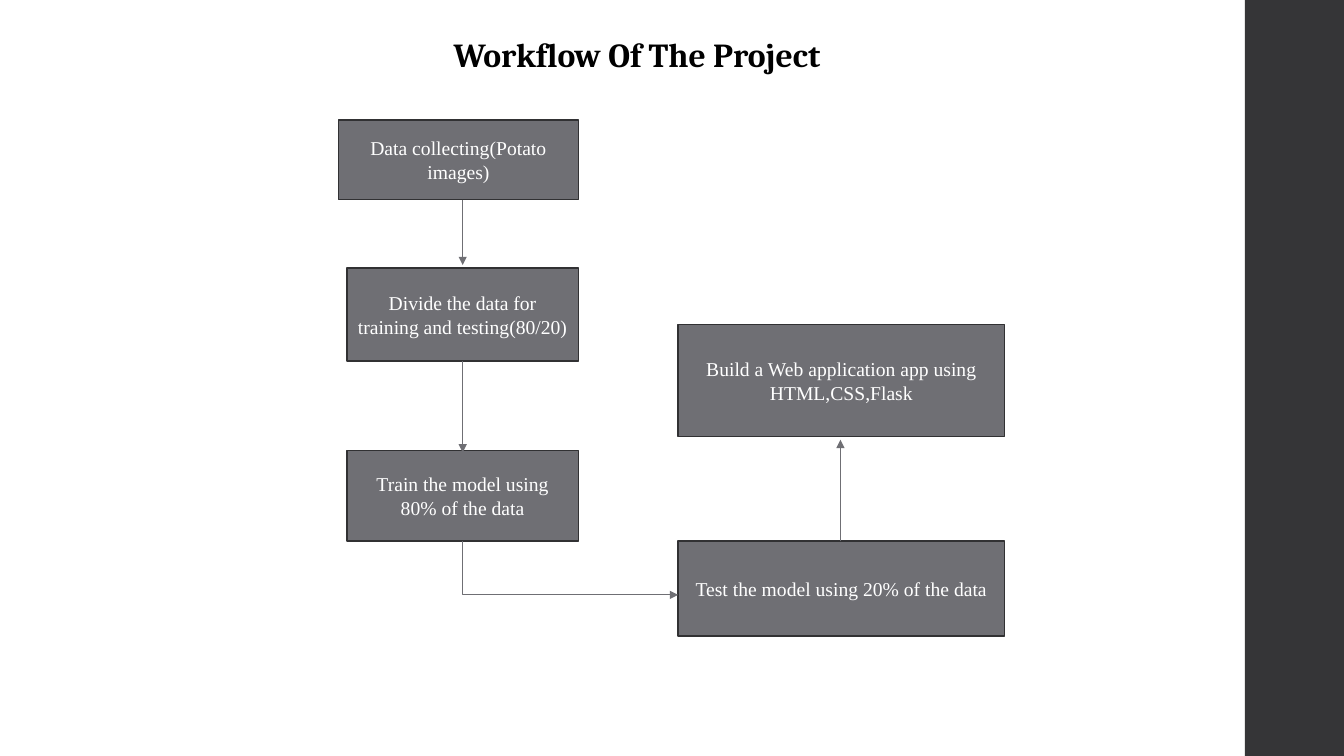
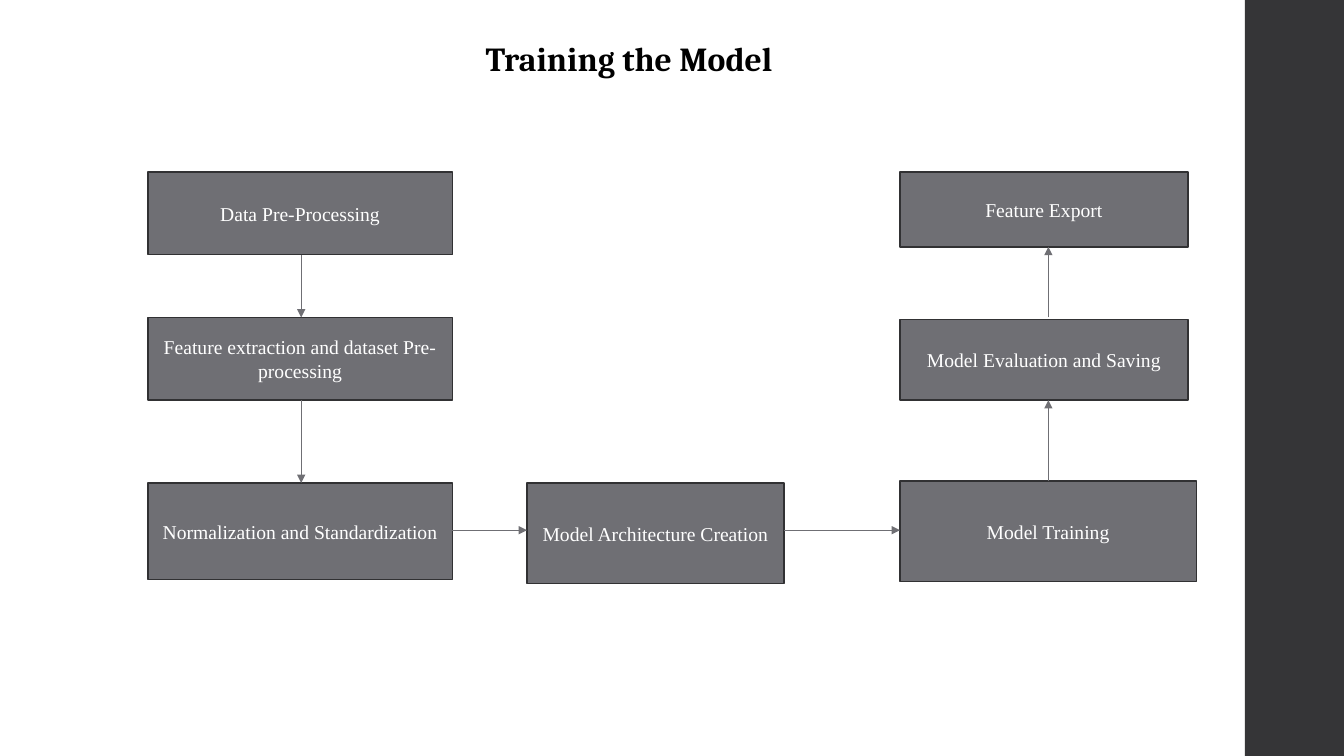
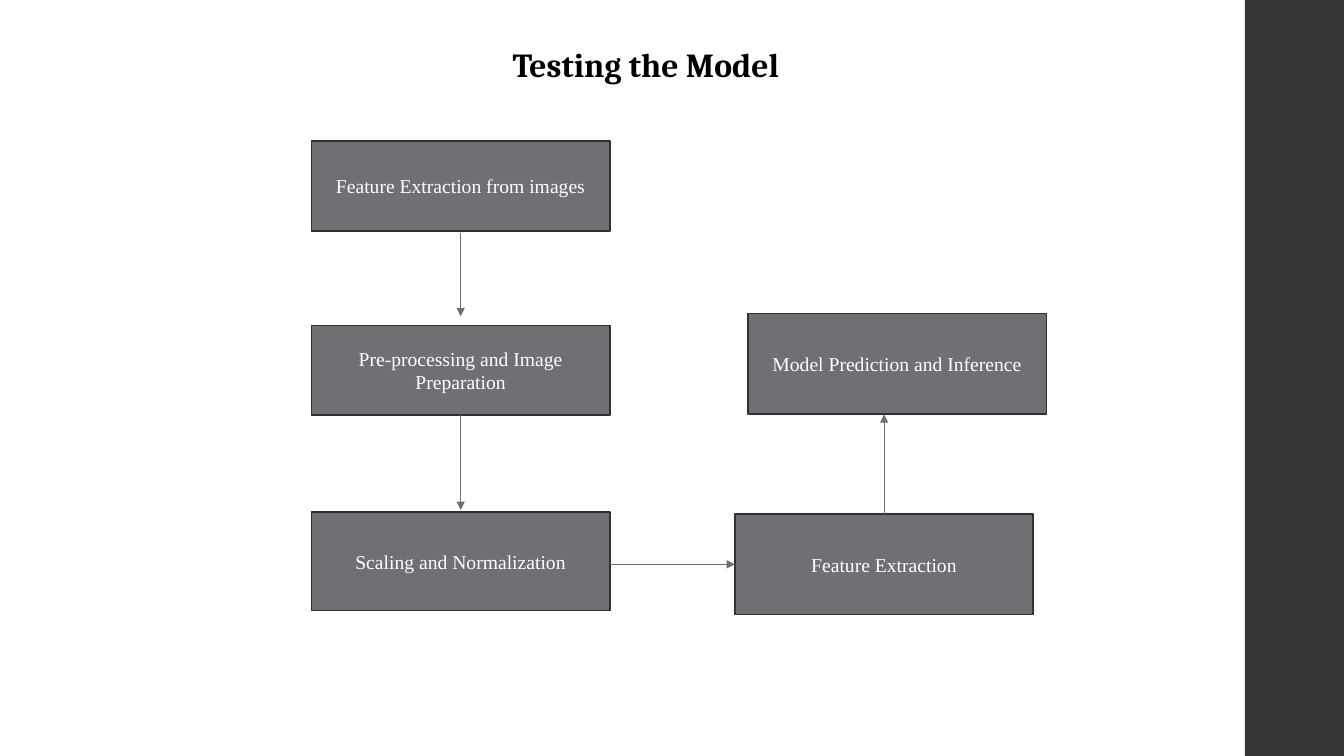
from pptx import Presentation
from pptx.dml.color import RGBColor
from pptx.enum.shapes import MSO_CONNECTOR, MSO_SHAPE
from pptx.enum.text import MSO_ANCHOR, PP_ALIGN
from pptx.oxml.ns import qn
from pptx.util import Cm, Pt
from lxml.etree import SubElement

WIDTH, HEIGHT = 33.87, 19.05
BAND_LEFT = 31.37
BAND, BOX, BORDER, ARROW = "353537", "6F6F74", "313133", "6F6F74"
TITLE_FONT = {"name": "Cambria", "size": Pt(24), "bold": True}
STEP_FONT = {"name": "Times New Roman", "size": Pt(14)}

# Lengths in cm. Title: text, left, top, width.
# Axes: x of "down" arrows, y of "across" arrows, x of "up" arrows.
# Step: text, (left, top, width, height), route to the next step, (start gap, end gap).
FLOWS = [
    {
        "title": ("Workflow Of The Project", 11.18, 0.74, 11.53),
        "axes": (11.66, 14.99, 21.18),
        "steps": [
            ("Data collecting(Potato images)", (8.53, 3.02, 6.05, 2.01), "down", (0, 0.08)),
            ("Divide the data for training and testing(80/20)",
             (8.74, 6.76, 5.84, 2.34), "down", (0, -0.05)),
            ("Train the model using 80% of the data", (8.74, 11.35, 5.84, 2.29), "turn", (0, 0)),
            ("Test the model using 20% of the data", (17.09, 13.64, 8.23, 2.39), "up", (0, 0.08)),
            ("Build a Web application app using HTML,CSS,Flask",
             (17.09, 8.18, 8.23, 2.82), None, None),
        ],
    },
    {
        "title": ("Training the Model", 11.99, 0.84, 9.07),
        "axes": (7.59, 13.36, 26.42),
        "steps": [
            ("Data Pre-Processing", (3.73, 4.34, 7.67, 2.08), "down", (0, 0)),
            ("Feature extraction and dataset Pre-processing",
             (3.73, 8, 7.67, 2.08), "down", (0, 0)),
            ("Normalization and Standardization", (3.73, 12.17, 7.67, 2.44), "across", (0, 0)),
            ("Model Architecture Creation", (13.28, 12.17, 6.48, 2.54), "across", (0, 0)),
            ("Model Training", (22.68, 12.12, 7.47, 2.54), "up", (0, 0)),
            ("Model Evaluation and Saving", (22.68, 8.05, 7.26, 2.03), "up", (0.05, 0)),
            ("Feature Export", (22.68, 4.34, 7.26, 1.88), None, None),
        ],
    },
    {
        "title": ("Testing the Model", 12.67, 0.97, 8.48),
        "axes": (11.61, 14.22, 22.28),
        "steps": [
            ("Feature Extraction from images", (7.85, 3.56, 7.52, 2.26), "down", (0.05, 0.23)),
            ("Pre-processing and Image Preparation", (7.85, 8.2, 7.52, 2.26), "down", (0, 0.05)),
            ("Scaling and Normalization", (7.85, 12.9, 7.52, 2.49), "across", (0, 0)),
            ("Feature Extraction", (18.52, 12.95, 7.52, 2.54), "up", (0, 0)),
            ("Model Prediction and Inference", (18.85, 7.9, 7.52, 2.54), None, None),
        ],
    },
]


def rgb(color):
    return RGBColor.from_string(color)


def write(shape, text, font_values, color):
    paragraph = shape.text_frame.paragraphs[0]
    run = paragraph.add_run()
    run.text = text
    for name, value in font_values.items():
        setattr(run.font, name, value)
    run.font.color.rgb = rgb(color)
    return paragraph


def add_rectangle(slide, place, fill, border=None):
    shape = slide.shapes.add_shape(MSO_SHAPE.RECTANGLE, *map(Cm, place))
    shape.shadow.inherit = False
    shape.fill.solid()
    shape.fill.fore_color.rgb = rgb(fill)
    if border:
        shape.line.color.rgb = rgb(border)
        shape.line.width = Pt(1.1)
    else:
        shape.line.fill.background()
    return shape


def add_title(slide, text, left, top, width):
    box = slide.shapes.add_textbox(*map(Cm, (left, top, width, 1.27)))
    box.text_frame.word_wrap = True
    write(box, text, TITLE_FONT, "000000")


def add_step(slide, text, place):
    shape = add_rectangle(slide, place, BOX, BORDER)
    shape.text_frame.word_wrap = True
    shape.text_frame.vertical_anchor = MSO_ANCHOR.MIDDLE
    write(shape, text, STEP_FONT, "FFFFFF").alignment = PP_ALIGN.CENTER


def arrow_ends(route, source, target, axes, gaps):
    """Return the start and end points between two step boxes."""
    down_x, across_y, up_x = axes
    left, top, width, height = source
    next_left, next_top, _, next_height = target
    start, end = gaps
    return {
        "down": (down_x, top + height + start, down_x, next_top - end),
        "across": (left + width + start, across_y, next_left - end, across_y),
        "up": (up_x, top - start, up_x, next_top + next_height + end),
        "turn": (down_x, top + height + start, next_left - end, across_y),
    }[route]


def add_arrow(slide, route, ends):
    kind = MSO_CONNECTOR.STRAIGHT
    if route == "turn":
        # A quarter turn back makes the one-bend connector go down, then right.
        kind = MSO_CONNECTOR.ELBOW
        x1, y1, x2, y2 = ends
        middle_x, middle_y = (x1 + x2) / 2, (y1 + y2) / 2
        half_w, half_h = (y2 - y1) / 2, (x2 - x1) / 2
        ends = (middle_x + half_w, middle_y - half_h, middle_x - half_w, middle_y + half_h)
    connector = slide.shapes.add_connector(kind, *map(Cm, ends))
    connector.line.color.rgb = rgb(ARROW)
    connector.line.width = Pt(0.75)
    properties = connector.element.spPr
    if route == "turn":
        properties.find(qn("a:xfrm")).set("rot", "16200000")
        properties.find(qn("a:prstGeom")).set("prst", "bentConnector2")
    SubElement(properties.find(qn("a:ln")), qn("a:tailEnd"), type="triangle")
    SubElement(properties, qn("a:effectLst"))


def add_flow_slide(presentation, flow):
    slide = presentation.slides.add_slide(presentation.slide_layouts[6])
    add_rectangle(slide, (BAND_LEFT, 0, WIDTH - BAND_LEFT, HEIGHT), BAND)
    add_title(slide, *flow["title"])
    steps = flow["steps"]
    for text, place, _, _ in steps:
        add_step(slide, text, place)
    for (_, source, route, gaps), (_, target, _, _) in zip(steps, steps[1:]):
        add_arrow(slide, route, arrow_ends(route, source, target, flow["axes"], gaps))


def main():
    presentation = Presentation()
    presentation.slide_width, presentation.slide_height = Cm(WIDTH), Cm(HEIGHT)
    for flow in FLOWS:
        add_flow_slide(presentation, flow)
    presentation.save("out.pptx")


if __name__ == "__main__":
    main()
